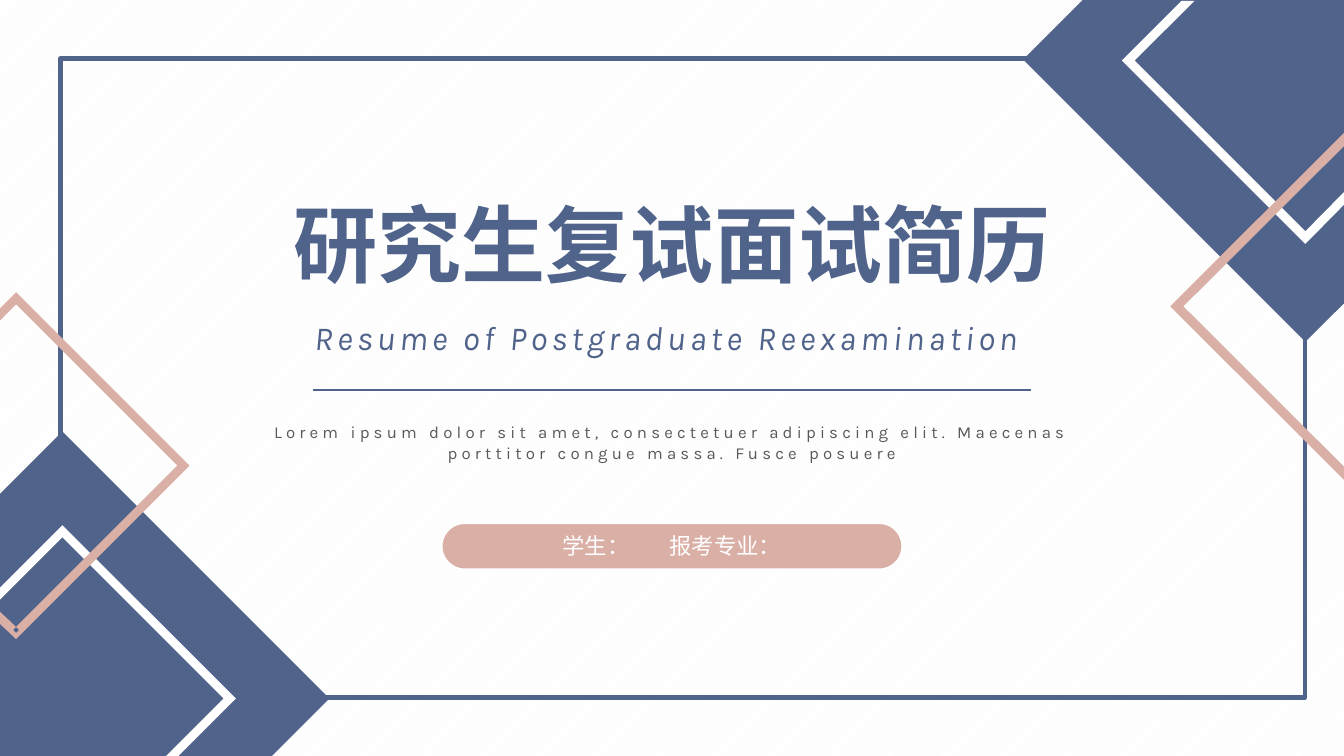
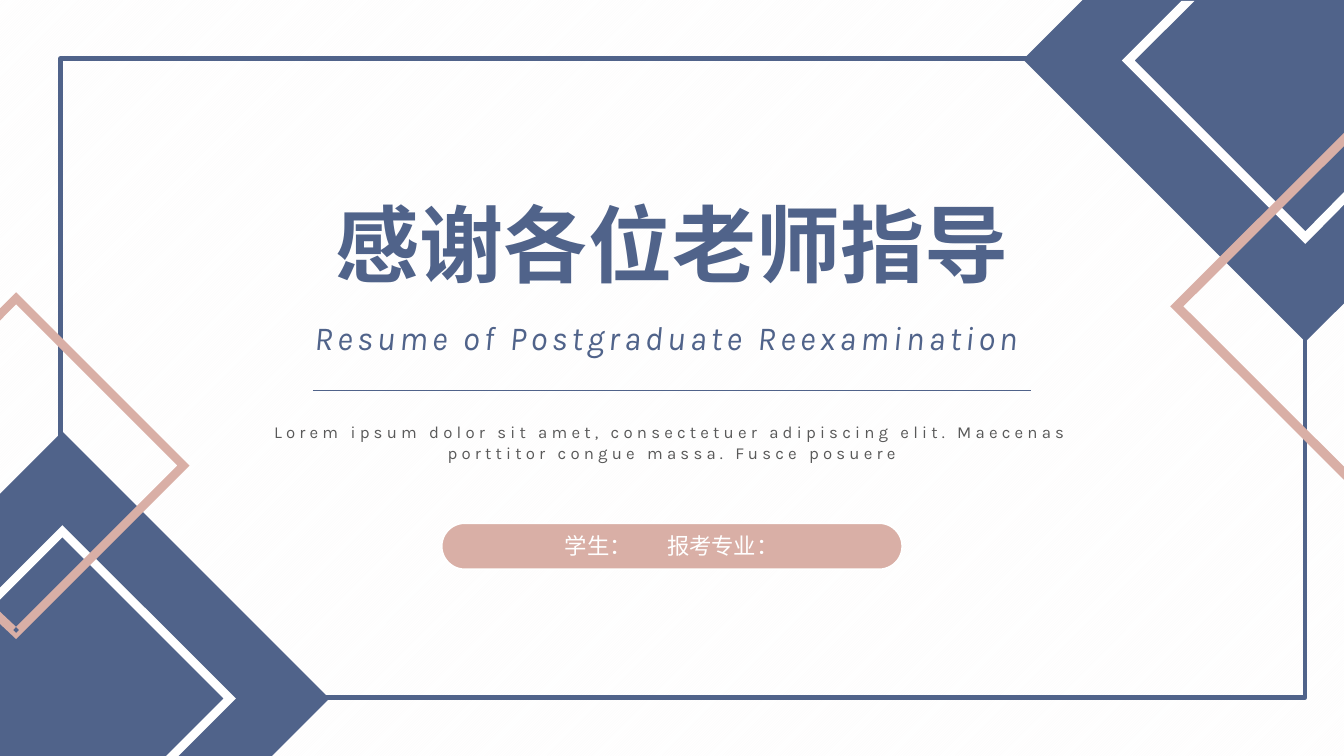
from dataclasses import dataclass

from lxml.etree import SubElement
from pptx import Presentation
from pptx.dml.color import RGBColor
from pptx.enum.dml import MSO_PATTERN
from pptx.enum.lang import MSO_LANGUAGE_ID
from pptx.enum.shapes import MSO_CONNECTOR, MSO_SHAPE
from pptx.enum.text import MSO_AUTO_SIZE, PP_ALIGN
from pptx.oxml.ns import qn
from pptx.util import Pt


@dataclass(frozen=True)
class Theme:
    navy: RGBColor = RGBColor(0x50, 0x63, 0x8A)
    rose: RGBColor = RGBColor(0xD9, 0xAF, 0xA6)
    white: RGBColor = RGBColor(0xFF, 0xFF, 0xFF)
    stripe: RGBColor = RGBColor(0xFC, 0xFA, 0xFA)
    grey: RGBColor = RGBColor(0x59, 0x59, 0x59)
    font: str = "Karla"
    title_size: int = 60
    subtitle_size: int = 24
    label_size: int = 16
    body_size: int = 12
    letter_spacing: int = 300


THEME = Theme()
WIDTH, HEIGHT = 960, 540
INSET = 7.2

FRAMES = [
    [(745.9, 41.8), (43.2, 41.8), (43.2, 324.7)],
    [(226.1, 498.2), (932.4, 498.2), (932.4, 215.3)],
]
CORNERS = [
    (THEME.navy, [(44.6, 308.2), (235.3, 498.9), (194.2, HEIGHT), (0, HEIGHT), (0, 352.8)]),
    (THEME.white, [(44.6, 375.1), (168.5, 499), (127.5, HEIGHT), (118.8, HEIGHT),
                   (159.8, 499), (44.6, 383.8), (0, 428.4), (0, 419.7)]),
    (THEME.rose, [(11.5, 208.8), (135.4, 332.6), (11.5, 456.5), (0, 445.7), (0, 437),
                  (11.5, 447.8), (9.4, 450), (11.5, 452.2), (13.7, 450), (11.5, 447.8),
                  (126.7, 332.6), (11.5, 217.4), (0, 229), (0, 220.3)]),
    (THEME.navy, [(773.3, 0), (WIDTH, 0), (WIDTH, 216.7), (932.4, 244.1), (730.8, 42.5)]),
    (THEME.white, [(843.8, 0.7), (853.2, 0.7), (810.4, 43.2), (932.4, 165.2), (WIDTH, 137.2),
                   (WIDTH, 146.2), (932.4, 174.2), (801.4, 43.2)]),
    (THEME.rose, [(WIDTH, 95), (WIDTH, 104.4), (845.3, 218.9), (WIDTH, 333.4),
                  (WIDTH, 342.7), (835.9, 218.9)]),
]

SUBTITLE = "Resume of Postgraduate Reexamination "
BODY = ("Lorem ipsum dolor sit amet, consectetuer adipiscing elit. "
        "Maecenas porttitor congue massa. Fusce posuere")
LABELS = ("学生：", "报考专业：")


def add_outline(slide, points, closed):
    corners = [(Pt(x), Pt(y)) for x, y in points]
    builder = slide.shapes.build_freeform(*corners[0])
    builder.add_line_segments(corners[1:], close=closed)
    shape = builder.convert_to_shape()
    shape.shadow.inherit = False
    return shape


def add_frame(slide, points):
    shape = add_outline(slide, points, False)
    shape.fill.background()
    shape.line.color.rgb = THEME.navy
    shape.line.width = Pt(3)
    return shape


def add_corner(slide, color, points):
    shape = add_outline(slide, points, True)
    shape.fill.solid()
    shape.fill.fore_color.rgb = color
    shape.line.fill.background()
    return shape


def decorate_layout(layout, slide):
    fill = layout.background.fill
    fill.patterned()
    fill.pattern = MSO_PATTERN.LIGHT_UPWARD_DIAGONAL
    fill.fore_color.rgb = THEME.stripe
    fill.back_color.rgb = THEME.white
    shapes = [add_frame(slide, points) for points in FRAMES]
    shapes += [add_corner(slide, color, points) for color, points in CORNERS]
    for shape in shapes:
        layout.shapes.element.append(shape.element)


def add_text(slide, text, top, width, height, *, size, color, bold=False, italic=False,
             spacing=0, wrap=True, align=PP_ALIGN.CENTER, margin=INSET, tab=None,
             language=MSO_LANGUAGE_ID.ENGLISH_US):
    box = slide.shapes.add_textbox(Pt((WIDTH - width) / 2), Pt(top), Pt(width), Pt(height))
    frame = box.text_frame
    frame.word_wrap = wrap
    frame.auto_size = MSO_AUTO_SIZE.SHAPE_TO_FIT_TEXT
    frame.margin_left = Pt(margin)
    paragraph = frame.paragraphs[0]
    paragraph.alignment = align
    if tab:
        tabs = SubElement(paragraph._p.get_or_add_pPr(), qn("a:tabLst"))
        SubElement(tabs, qn("a:tab"), pos=str(Pt(tab)), algn="l")
    run = paragraph.add_run()
    run.text = text
    font = run.font
    font.name = THEME.font
    font.size = Pt(size)
    font.bold = bold
    font.italic = italic
    font.color.rgb = color
    font.language_id = language
    if spacing:
        run._r.get_or_add_rPr().set("spc", str(spacing))
    return box


def add_divider(slide, top, width, weight):
    left = (WIDTH - width) / 2
    line = slide.shapes.add_connector(
        MSO_CONNECTOR.STRAIGHT, Pt(left), Pt(top), Pt(left + width), Pt(top))
    line.line.color.rgb = THEME.navy
    line.line.width = Pt(weight)
    SubElement(line.element.spPr, qn("a:effectLst"))


def add_pill(slide, top, width, height):
    pill = slide.shapes.add_shape(
        MSO_SHAPE.ROUNDED_RECTANGLE, Pt((WIDTH - width) / 2), Pt(top), Pt(width), Pt(height))
    pill.adjustments[0] = 0.5
    pill.shadow.inherit = False
    pill.fill.solid()
    pill.fill.fore_color.rgb = THEME.rose
    pill.line.color.rgb = THEME.white
    pill.line.width = Pt(1.25)


def add_labels(slide, gap):
    width = 302
    text_width = THEME.label_size * len("".join(LABELS)) + gap
    add_text(slide, "\t".join(LABELS), 376.5, width, 27, size=THEME.label_size,
             color=THEME.white, align=PP_ALIGN.LEFT, margin=(width - text_width) / 2,
             tab=THEME.label_size * len(LABELS[0]) + gap,
             language=MSO_LANGUAGE_ID.SIMPLIFIED_CHINESE)


def fill_slide(slide, title, divider_weight, label_gap):
    add_text(slide, SUBTITLE, 222.5, 557, 36, size=THEME.subtitle_size, color=THEME.navy,
             italic=True, spacing=THEME.letter_spacing, wrap=False)
    add_text(slide, title, 134, 648, 80, size=THEME.title_size, color=THEME.navy, bold=True,
             language=MSO_LANGUAGE_ID.SIMPLIFIED_CHINESE)
    add_divider(slide, 278.6, 513, divider_weight)
    add_pill(slide, 373.7, 329, 33)
    add_labels(slide, label_gap)
    add_text(slide, BODY, 298, 619, 36, size=THEME.body_size, color=THEME.grey,
             spacing=THEME.letter_spacing)


def main():
    presentation = Presentation()
    presentation.slide_width, presentation.slide_height = Pt(WIDTH), Pt(HEIGHT)
    layout = presentation.slide_layouts[6]
    opening = presentation.slides.add_slide(layout)
    closing = presentation.slides.add_slide(layout)
    decorate_layout(layout, opening)
    fill_slide(opening, "研究生复试面试简历", 1, 28.5)
    fill_slide(closing, "感谢各位老师指导", 0.5, 25)
    presentation.save("out.pptx")


if __name__ == "__main__":
    main()
